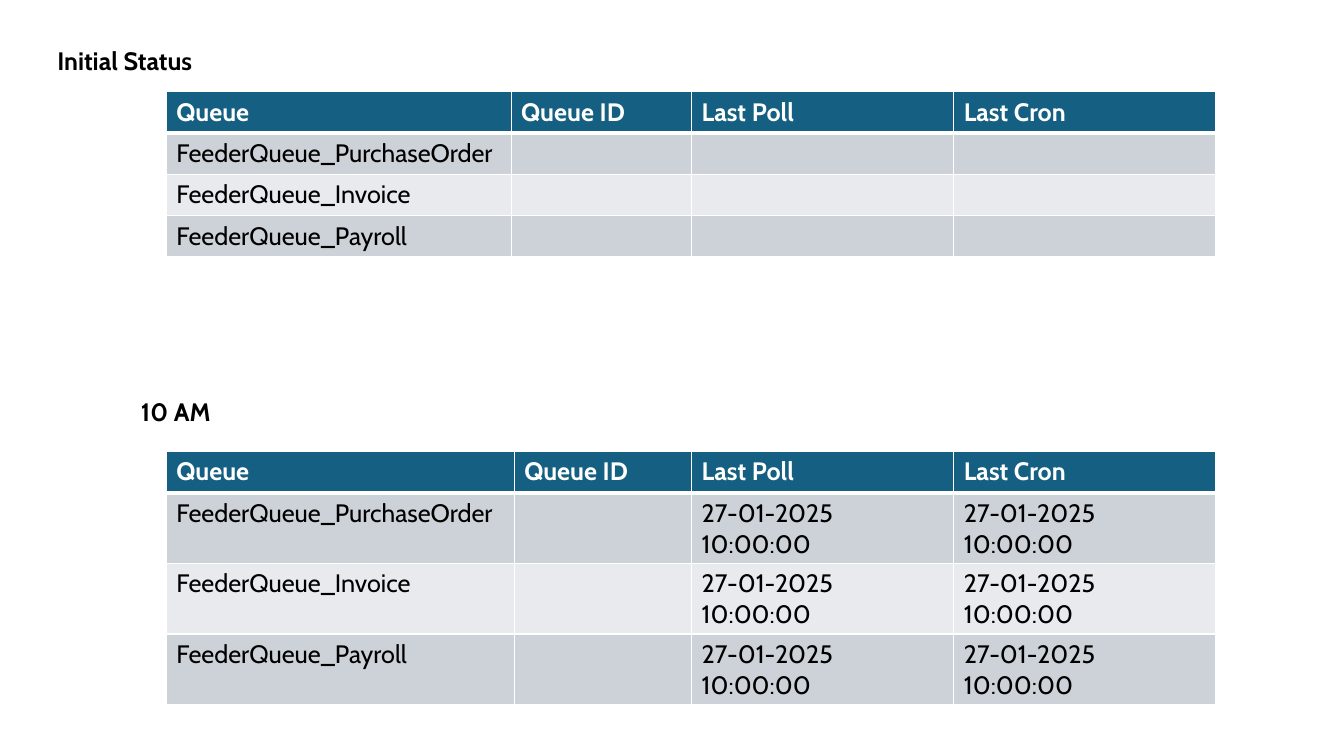
import pptx
import pptx.dml.color
import pptx.enum.text
import pptx.oxml
import pptx.oxml.ns
import pptx.util

WHITE = pptx.dml.color.RGBColor(0xFF, 0xFF, 0xFF)
BLACK = pptx.dml.color.RGBColor(0x00, 0x00, 0x00)
HEADER_BLUE = pptx.dml.color.RGBColor(0x15, 0x60, 0x82)
BAND_DARK = pptx.dml.color.RGBColor(0xCC, 0xD2, 0xD8)
BAND_LIGHT = pptx.dml.color.RGBColor(0xE8, 0xEA, 0xED)

# The slide is a grid of 1333 columns by 750 rows of one unit each.
UNIT = pptx.util.Inches(0.01)
TABLE_LEFT, TABLE_WIDTH, DATE_WIDTH = 165, 1041, 260
LINE_ROW, TWO_LINE_ROW = 41, 70

HEADINGS = ["Queue", "Queue ID", "Last Poll", "Last Cron"]
QUEUES = ["FeederQueue_PurchaseOrder", "FeederQueue_Invoice", "FeederQueue_Payroll"]

# title, title left/top/width, table top, queue column width, body row height, time
STATES = [
    ("Initial Status", (47, 40, 166), 91, 342, LINE_ROW, ""),
    ("10 AM", (130, 388, 121), 448, 345, TWO_LINE_ROW, "27-01-2025 10:00:00"),
]


def write(para, text, color, bold):
    span = para.add_run()
    span.text = text
    span.font.color.rgb = color
    text_format = {"name": "Cabin", "size": pptx.util.Pt(18), "bold": bold}
    for name, value in text_format.items():
        setattr(span.font, name, value)


def add_borders(cell, bottom_points):
    """Draw white lines round a cell, one point wide except at the bottom."""
    for side, points in {"L": 1, "R": 1, "T": 1, "B": bottom_points}.items():
        cell._tc.get_or_add_tcPr().append(pptx.oxml.parse_xml(
            f'<a:ln{side} {pptx.oxml.ns.nsdecls("a")} w="{pptx.util.Pt(points)}">'
            f'<a:solidFill><a:srgbClr val="{WHITE}"/></a:solidFill></a:ln{side}>'))


deck = pptx.Presentation()
deck.slide_width, deck.slide_height = 1333 * UNIT, 750 * UNIT
page = deck.slides.add_slide(deck.slide_layouts[6])

for title, (left, top, width), table_top, queue_width, body_row, time in STATES:
    row_heights = [LINE_ROW] + [body_row] * len(QUEUES)
    id_width = TABLE_WIDTH - queue_width - 2 * DATE_WIDTH
    rows = [HEADINGS] + [[queue, "", time, time] for queue in QUEUES]

    table = page.shapes.add_table(
        len(rows), len(HEADINGS), TABLE_LEFT * UNIT, table_top * UNIT,
        TABLE_WIDTH * UNIT, sum(row_heights) * UNIT).table
    for column, size in zip(table.columns, [queue_width, id_width, DATE_WIDTH, DATE_WIDTH]):
        column.width = size * UNIT

    for r, (texts, height) in enumerate(zip(rows, row_heights)):
        table.rows[r].height = height * UNIT
        is_header = r == 0
        fill = HEADER_BLUE if is_header else BAND_DARK if r % 2 else BAND_LIGHT
        for c, text in enumerate(texts):
            cell = table.cell(r, c)
            # The line under the header is shared with the first body row.
            add_borders(cell, 3 if is_header else 1)
            cell.fill.solid()
            cell.fill.fore_color.rgb = fill
            if text:
                write(cell.text_frame.paragraphs[0], text,
                      WHITE if is_header else BLACK, is_header)

    box = page.shapes.add_textbox(left * UNIT, top * UNIT, width * UNIT, 40 * UNIT)
    frame_format = {"word_wrap": True,
                    "auto_size": pptx.enum.text.MSO_AUTO_SIZE.SHAPE_TO_FIT_TEXT}
    for name, value in frame_format.items():
        setattr(box.text_frame, name, value)
    write(box.text_frame.paragraphs[0], title, BLACK, True)

deck.save("out.pptx")
